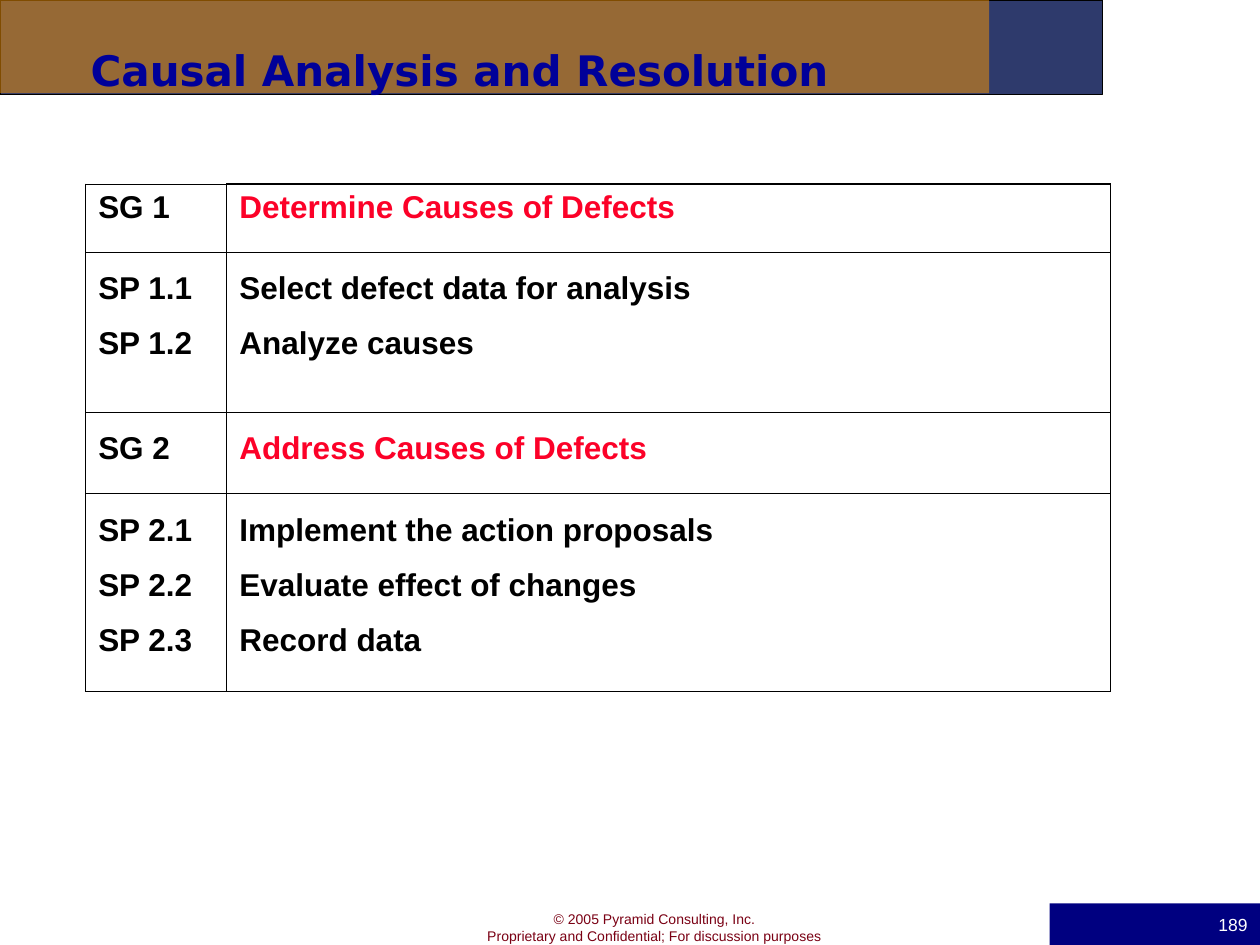
from lxml.etree import SubElement
from pptx import Presentation
from pptx.dml.color import RGBColor
from pptx.enum.shapes import MSO_SHAPE
from pptx.enum.text import MSO_ANCHOR, PP_ALIGN
from pptx.oxml.ns import qn
from pptx.util import Inches, Pt

# Content
TITLE = "Causal Analysis and Resolution"
FOOTER = ["© 2005 Pyramid Consulting, Inc.",
          "Proprietary and Confidential; For discussion purposes"]
PAGE_NUMBER = "189"
BLACK, RED = "000000", "FC0128"
# Each row: height, line spacing, colour of the second column, (code, wording) pairs
ROWS = [
    (0.54, 1.0, RED, [("SG 1", "Determine Causes of Defects")]),
    (1.27, 1.35, BLACK, [("SP 1.1", "Select defect data for analysis"),
                         ("SP 1.2", "Analyze causes")]),
    (0.65, 1.35, RED, [("SG 2", "Address Causes of Defects")]),
    (1.57, 1.35, BLACK, [("SP 2.1", "Implement the action proposals"),
                         ("SP 2.2", "Evaluate effect of changes"),
                         ("SP 2.3", "Record data")]),
]
COLUMNS = [1.12, 7.01]
THIN, THICK = 0.45, 1.08


def colour(value):
    return RGBColor.from_string(value)


def write(frame, lines, size, shade, font="Arial", bold=False,
          align=PP_ALIGN.LEFT, spacing=1.0, before=0):
    frame.word_wrap = True
    for index, line in enumerate(lines):
        para = frame.add_paragraph() if index else frame.paragraphs[0]
        para.text = line
        para.alignment = align
        para.line_spacing = spacing
        para.space_before = Pt(before if index else 0)
        para.font.name, para.font.size, para.font.bold = font, Pt(size), bold
        para.font.color.rgb = colour(shade)


def add_bar(left, top, width, height, fill, line=None):
    bar = page.shapes.add_shape(MSO_SHAPE.RECTANGLE, Inches(left), Inches(top),
                                Inches(width), Inches(height))
    bar.shadow.inherit = False
    bar.fill.solid()
    bar.fill.fore_color.rgb = colour(fill)
    if line:
        bar.line.color.rgb = colour(line)
        bar.line.width = Pt(0.75)
    else:
        bar.line.fill.background()
    return bar


def add_text(left, top, width, height):
    return page.shapes.add_textbox(Inches(left), Inches(top),
                                   Inches(width), Inches(height)).text_frame


def set_borders(cell, widths):
    properties = cell._tc.get_or_add_tcPr()
    for position, (side, width) in enumerate(widths.items()):
        edge = properties.makeelement(qn(f"a:{side}"), {"w": str(int(Pt(width)))})
        SubElement(SubElement(edge, qn("a:solidFill")), qn("a:srgbClr"), val=BLACK)
        properties.insert(position, edge)


deck = Presentation()
deck.slide_width, deck.slide_height = Inches(10), Inches(7.5)
page = deck.slides.add_slide(deck.slide_layouts[6])

# Header bars, the front one half transparent
add_bar(0, 0, 8.75, 0.75, "2E3A6C", BLACK)
overlay = add_bar(0, 0, 7.85, 0.74, "FF9900")
tint = overlay.fill._xPr.find(qn("a:solidFill")).find(qn("a:srgbClr"))
SubElement(tint, qn("a:alpha"), val="50000")

# Footer
write(add_text(3.72, 7.18, 2.95, 0.37), FOOTER, 8, "7A0014", align=PP_ALIGN.CENTER)

# Table of goals and practices
table = page.shapes.add_table(len(ROWS), len(COLUMNS), Inches(0.68), Inches(1.46),
                              Inches(sum(COLUMNS)),
                              Inches(sum(row[0] for row in ROWS))).table
for column, width in zip(table.columns, COLUMNS):
    column.width = Inches(width)
last = len(ROWS) - 1
for r, (height, spacing, shade, pairs) in enumerate(ROWS):
    table.rows[r].height = Inches(height)
    for c, (lines, text_shade) in enumerate(zip(zip(*pairs), (BLACK, shade))):
        cell = table.cell(r, c)
        cell.fill.background()
        write(cell.text_frame, lines, 18, text_shade, bold=True,
              spacing=spacing, before=4.5)
        set_borders(cell, {"lnL": THIN, "lnR": THIN,
                           "lnT": THICK if (r, c) == (0, 1) else THIN,
                           "lnB": THICK if r == last else THIN})

# Title
title = add_text(0.5, 0.3, 9, 1.25)
title.margin_left = Inches(0.22)
write(title, [TITLE], 24, "000099", font="DejaVu Sans", bold=True)

# Page number
number = add_bar(8.33, 7.17, 1.67, 0.33, "000080").text_frame
number.vertical_anchor = MSO_ANCHOR.MIDDLE
write(number, [PAGE_NUMBER], 10, "FFFFFF", align=PP_ALIGN.RIGHT)

deck.save("out.pptx")
